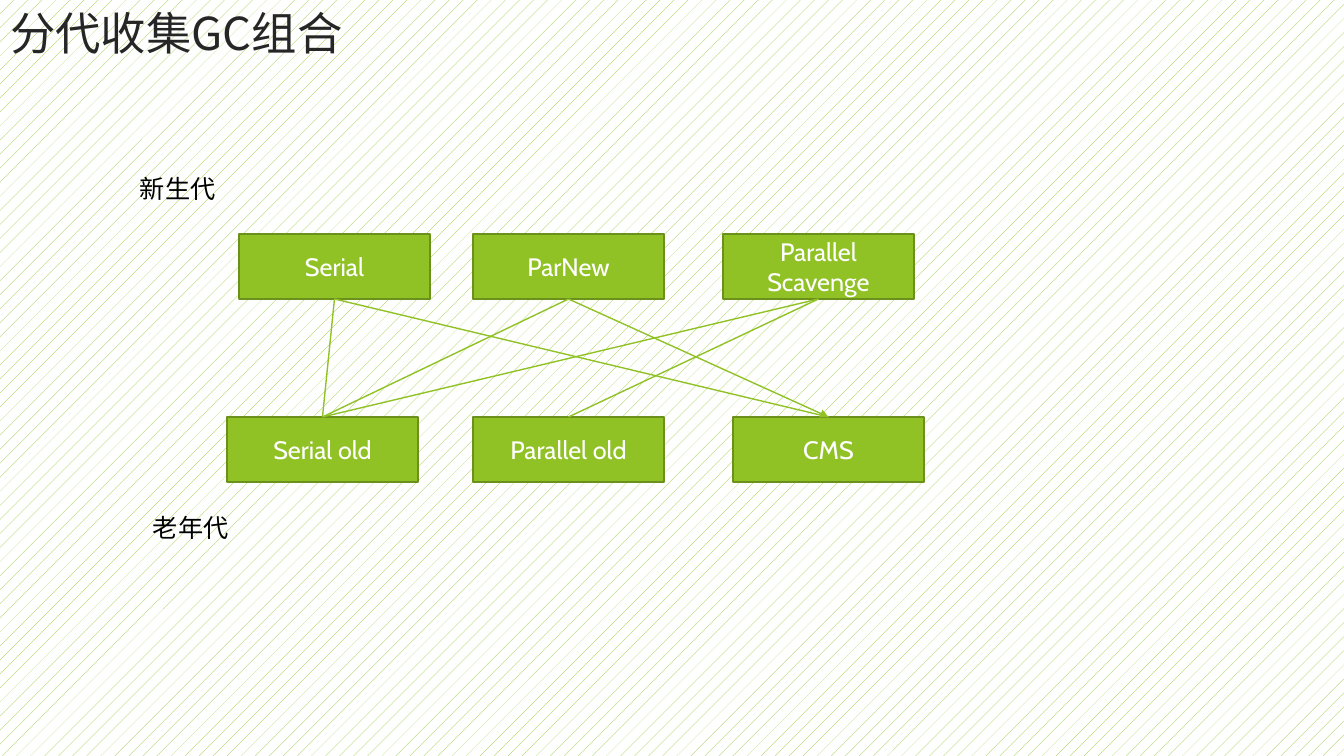
"""Build the slide on how generational garbage collectors combine."""
from lxml.etree import SubElement
from pptx import Presentation
from pptx.dml.color import RGBColor
from pptx.enum.dml import MSO_PATTERN
from pptx.enum.shapes import MSO_CONNECTOR, MSO_SHAPE
from pptx.enum.text import MSO_ANCHOR, MSO_AUTO_SIZE, PP_ALIGN
from pptx.oxml.ns import qn
from pptx.util import Pt

SCALE = 914400 / 100.8
GREEN, DARK_GREEN, WHITE = "90C226", "6B901C", "FFFFFF"
BOX_WIDTH, BOX_HEIGHT = 191, 65
BOTTOM_SITE, TOP_SITE = 2, 0


def emu(*pixels):
    return [round(value * SCALE) for value in pixels]


def write(frame, text, size, color, font="Cabin", align=PP_ALIGN.LEFT):
    paragraph = frame.paragraphs[0]
    paragraph.alignment = align
    run = paragraph.add_run()
    run.text = text
    run.font.size = Pt(size)
    run.font.name = font
    run.font.color.rgb = RGBColor.from_string(color)


prs = Presentation()
prs.slide_width, prs.slide_height = emu(1344, 756)
slide = prs.slides.add_slide(prs.slide_layouts[5])

backdrop = slide.background.fill
backdrop.patterned()
backdrop.pattern = MSO_PATTERN.PERCENT_5
backdrop.fore_color.rgb = RGBColor.from_string(GREEN)
backdrop.back_color.rgb = RGBColor.from_string(WHITE)

title = slide.shapes.title
title.left, title.top, title.width, title.height = emu(0, 0, 948, 64)
title.text_frame.auto_size = MSO_AUTO_SIZE.NONE
title.text_frame.vertical_anchor = MSO_ANCHOR.MIDDLE
write(title.text_frame, "分代收集GC组合", 32.4, "262626", "Noto Sans CJK JP")

for generation, left, top in [("新生代", 130, 168), ("老年代", 143, 507)]:
    label = slide.shapes.add_textbox(*emu(left, top, 97, 40))
    label.text_frame.word_wrap = False
    label.text_frame.auto_size = MSO_AUTO_SIZE.SHAPE_TO_FIT_TEXT
    write(label.text_frame, generation, 18, "000000")

rows = [
    (234, [("Serial", 239), ("ParNew", 473), ("Parallel Scavenge", 723)]),
    (417, [("Serial old", 227), ("Parallel old", 473), ("CMS", 733)]),
]
collectors = {}
for top, row in rows:
    for name, left in row:
        box = slide.shapes.add_shape(
            MSO_SHAPE.RECTANGLE, *emu(left, top, BOX_WIDTH, BOX_HEIGHT))
        box.shadow.inherit = False
        box.fill.solid()
        box.fill.fore_color.rgb = RGBColor.from_string(GREEN)
        box.line.color.rgb = RGBColor.from_string(DARK_GREEN)
        box.line.width = Pt(1.5)
        box.text_frame.vertical_anchor = MSO_ANCHOR.MIDDLE
        write(box.text_frame, name, 18, WHITE, align=PP_ALIGN.CENTER)
        collectors[name] = box

pairings = [
    ("Serial", "CMS", False),
    ("Serial", "Serial old", False),
    ("ParNew", "CMS", True),
    ("ParNew", "Serial old", False),
    ("Parallel Scavenge", "Parallel old", False),
    ("Parallel Scavenge", "Serial old", False),
]
for young, old, has_arrow in pairings:
    link = slide.shapes.add_connector(MSO_CONNECTOR.STRAIGHT, 0, 0, 0, 0)
    link.begin_connect(collectors[young], BOTTOM_SITE)
    link.end_connect(collectors[old], TOP_SITE)
    link.line.color.rgb = RGBColor.from_string(GREEN)
    link.line.width = Pt(1)
    properties = link._element.spPr
    if has_arrow:
        SubElement(properties.find(qn("a:ln")), qn("a:tailEnd"), type="triangle")
    SubElement(properties, qn("a:effectLst"))

prs.save("out.pptx")
